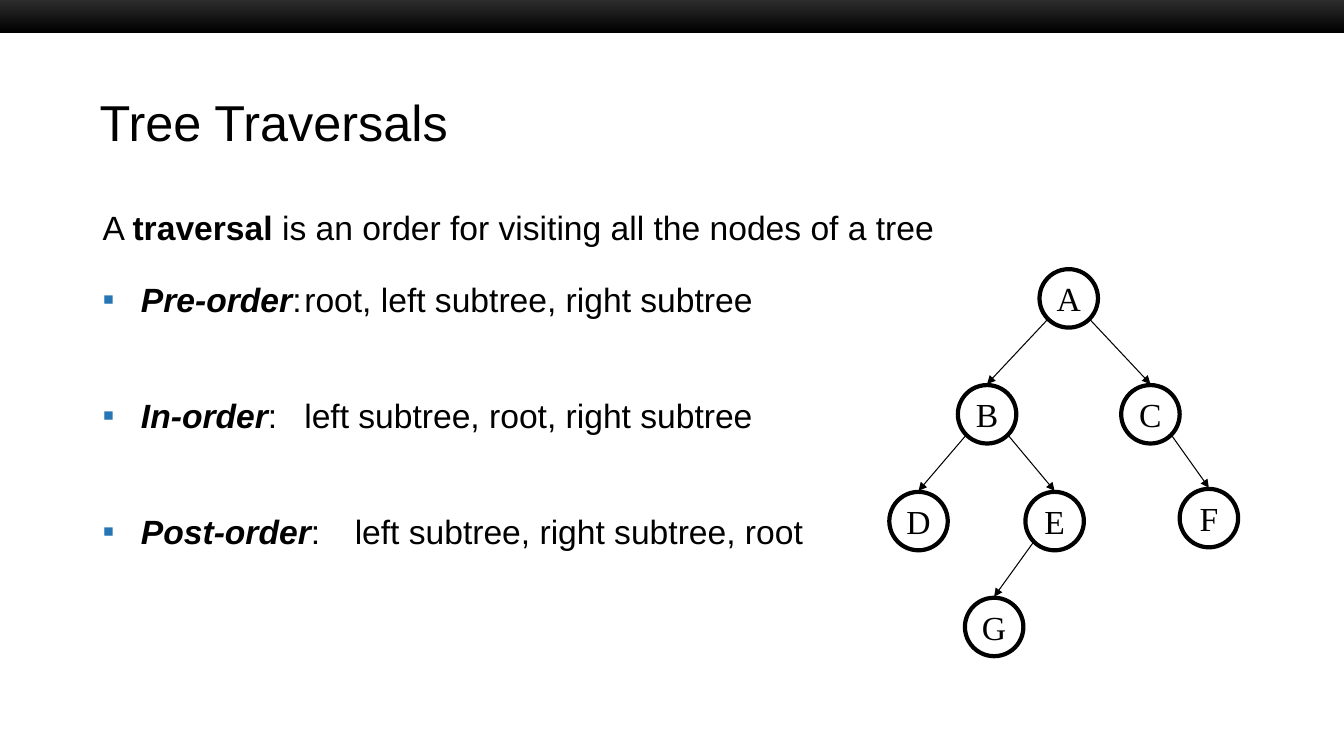
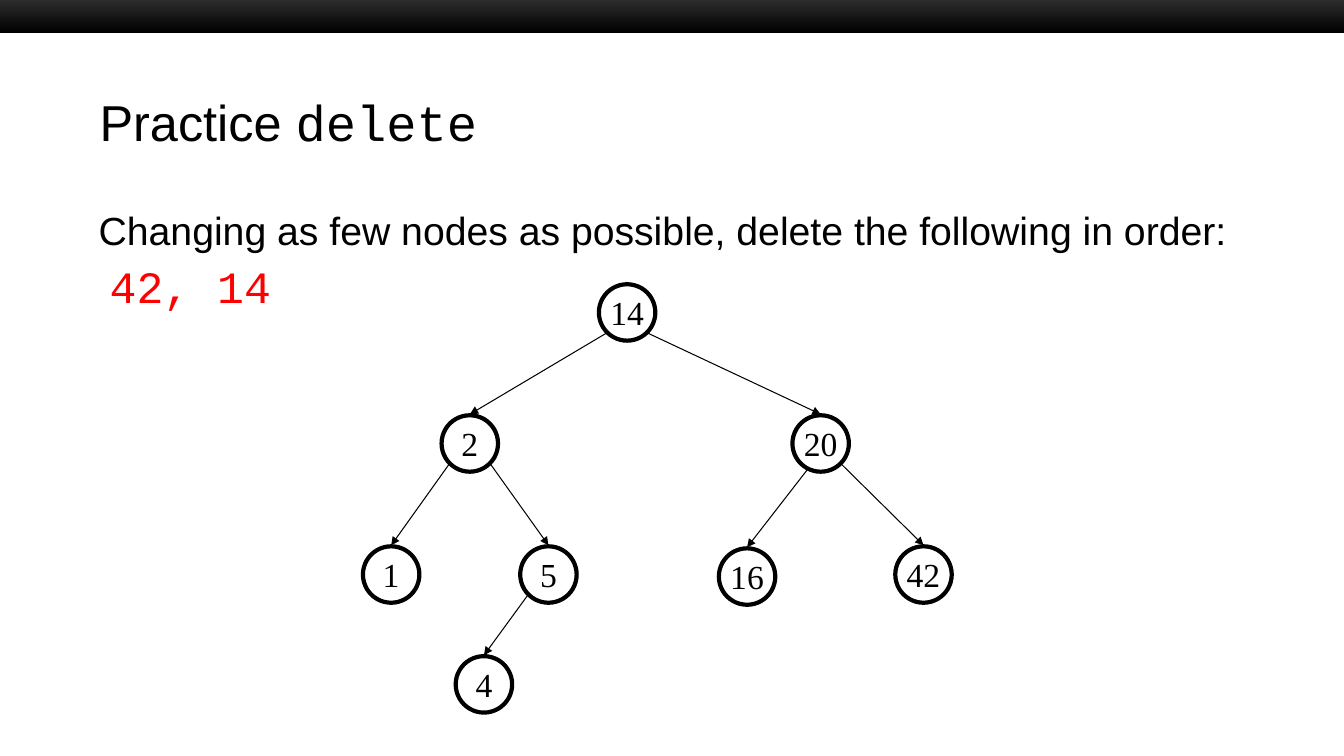
import math
from dataclasses import dataclass

from lxml import etree
from pptx import Presentation
from pptx import util as u
from pptx.dml.color import RGBColor
from pptx.enum import shapes, text
from pptx.oxml.ns import qn

PX = 9144  # EMU: 100 px to the inch
SLIDE_W, SLIDE_H = 1333, 750

BLACK = RGBColor(0x00, 0x00, 0x00)
CHARCOAL = RGBColor(0x33, 0x33, 0x33)
RED = RGBColor(0xFF, 0x00, 0x00)
BLUE = RGBColor(0x26, 0x75, 0xB4)

SANS, MONO, SERIF = "Arial", "Courier New", "Times New Roman"
INDENT = 38


@dataclass(frozen=True)
class Span:
    text: str
    size: int = 24
    font: str = SANS
    color: RGBColor = BLACK
    bold: bool = False
    italic: bool = False


@dataclass(frozen=True)
class Para:
    spans: list[Span]
    before: int = 0
    bullet: bool = False
    left: int = 0


@dataclass(frozen=True)
class Node:
    """A tree node; angle is where its edge leaves the parent, below horizontal."""
    label: str
    left: int
    top: int
    parent: str = ""
    angle: int = 45


def px(n: float) -> u.Emu:
    return u.Emu(round(n * PX))


def add_spans(p, spans: list[Span]) -> None:
    for span in spans:
        r = p.add_run()
        r.text = span.text
        f = r.font
        f.size, f.name, f.color.rgb = u.Pt(span.size), span.font, span.color
        f.bold, f.italic = span.bold, span.italic


def set_indent(p, left: int, first: int) -> None:
    pPr = p._p.get_or_add_pPr()
    pPr.set("marL", str(px(left)))
    pPr.set("indent", str(px(first)))


def add_bullet(p) -> None:
    set_indent(p, INDENT, -INDENT)
    pPr = p._p.get_or_add_pPr()
    color = etree.SubElement(pPr, qn("a:buClr"))
    etree.SubElement(color, qn("a:srgbClr"), val=str(BLUE))
    etree.SubElement(pPr, qn("a:buFont"), typeface=SANS)
    etree.SubElement(pPr, qn("a:buChar"), char="▪")


def add_text(s, left: int, top: int, width: int, height: int, paras: list[Para],
             anchor: text.MSO_ANCHOR = text.MSO_ANCHOR.TOP) -> None:
    tf = s.shapes.add_textbox(px(left), px(top), px(width), px(height)).text_frame
    tf.word_wrap = True
    tf.vertical_anchor = anchor
    for i, para in enumerate(paras):
        p = tf.add_paragraph() if i else tf.paragraphs[0]
        p.space_before = u.Pt(para.before)
        if para.bullet:
            add_bullet(p)
        elif para.left:
            set_indent(p, para.left, 0)
        add_spans(p, para.spans)


def add_slide(prs, title: list[Span]):
    """Add a blank slide with the dark top band and the title."""
    s = prs.slides.add_slide(prs.slide_layouts[6])
    band = s.shapes.add_shape(shapes.MSO_SHAPE.RECTANGLE,
                              0, px(-5), px(SLIDE_W), px(38))
    band.shadow.inherit = False
    band.line.fill.background()
    band.fill.gradient()
    band.fill.gradient_angle = 270
    for stop, color in zip(band.fill.gradient_stops, (CHARCOAL, BLACK)):
        stop.color.rgb = color
    add_text(s, 89, 83, 1156, 75, [Para(title)], text.MSO_ANCHOR.MIDDLE)
    return s


def add_node(s, node: Node, size: int) -> None:
    sp = s.shapes.add_shape(shapes.MSO_SHAPE.OVAL, px(node.left), px(node.top),
                            px(size), px(size))
    sp.shadow.inherit = False
    sp.fill.background()
    sp.line.color.rgb, sp.line.width = BLACK, u.Pt(3)
    tf = sp.text_frame
    tf.word_wrap = False
    tf.vertical_anchor = text.MSO_ANCHOR.MIDDLE
    p = tf.paragraphs[0]
    p.alignment = text.PP_ALIGN.CENTER
    add_spans(p, [Span(node.label, font=SERIF)])


def add_edge(s, parent: Node, child: Node, size: int) -> None:
    """Draw an arrow from the parent's lower rim to the child's top."""
    radius = size / 2
    side = 1 if child.left > parent.left else -1
    reach, angle = radius + 1, math.radians(child.angle)
    line = s.shapes.add_connector(
        shapes.MSO_CONNECTOR.STRAIGHT,
        px(parent.left + radius + side * reach * math.cos(angle)),
        px(parent.top + radius + reach * math.sin(angle)),
        px(child.left + radius), px(child.top - 1))
    line.line.color.rgb, line.line.width = BLACK, u.Pt(0.75)
    etree.SubElement(line.line._get_or_add_ln(), qn("a:tailEnd"), type="triangle")
    etree.SubElement(line._element.spPr, qn("a:effectLst"))


def add_tree(s, nodes: list[Node], size: int) -> None:
    by_label = {node.label: node for node in nodes}
    for node in nodes:
        add_node(s, node, size)
        if node.parent:
            add_edge(s, by_label[node.parent], node, size)


def order_para(name: str, steps: str, before: int) -> Para:
    return Para([Span(name, bold=True, italic=True), Span(f":\t{steps}")],
                before, bullet=True)


def traversals_slide(prs) -> None:
    s = add_slide(prs, [Span("Tree Traversals", 36)])
    add_text(s, 92, 200, 911, 486, [
        Para([Span("A "), Span("traversal ", bold=True),
              Span("is an order for visiting all the nodes of a tree")], 3),
        order_para("Pre-order", "root, left subtree, right subtree", 23),
        order_para("In-order", "left subtree, root, right subtree", 54),
        order_para("Post-order", "left subtree, right subtree, root", 54),
    ])
    add_tree(s, [
        Node("A", 1031, 267),
        Node("B", 950, 382, "A"),
        Node("C", 1112, 382, "A"),
        Node("D", 882, 488, "B"),
        Node("E", 1017, 488, "B"),
        Node("F", 1170, 485, "C"),
        Node("G", 957, 593, "E"),
    ], 58)


def delete_slide(prs) -> None:
    s = add_slide(prs, [Span("Practice ", 36), Span("delete", 36, MONO)])
    add_text(s, 88, 200, 1150, 294, [
        Para([Span("Changing as few nodes as possible, "
                   "delete the following in order:", 28)], 4),
        Para([Span("42, 14", 32, MONO, RED)], 4, left=11),
    ])
    add_tree(s, [
        Node("14", 594, 282),
        Node("2", 438, 412, "14"),
        Node("20", 786, 412, "14"),
        Node("1", 360, 542, "2"),
        Node("5", 516, 542, "2"),
        Node("16", 713, 544, "20", angle=63),
        Node("42", 888, 542, "20"),
        Node("4", 452, 651, "5"),
    ], 56)


def main() -> None:
    prs = Presentation()
    prs.slide_width, prs.slide_height = px(SLIDE_W), px(SLIDE_H)
    traversals_slide(prs)
    delete_slide(prs)
    prs.save("out.pptx")


if __name__ == "__main__":
    main()
